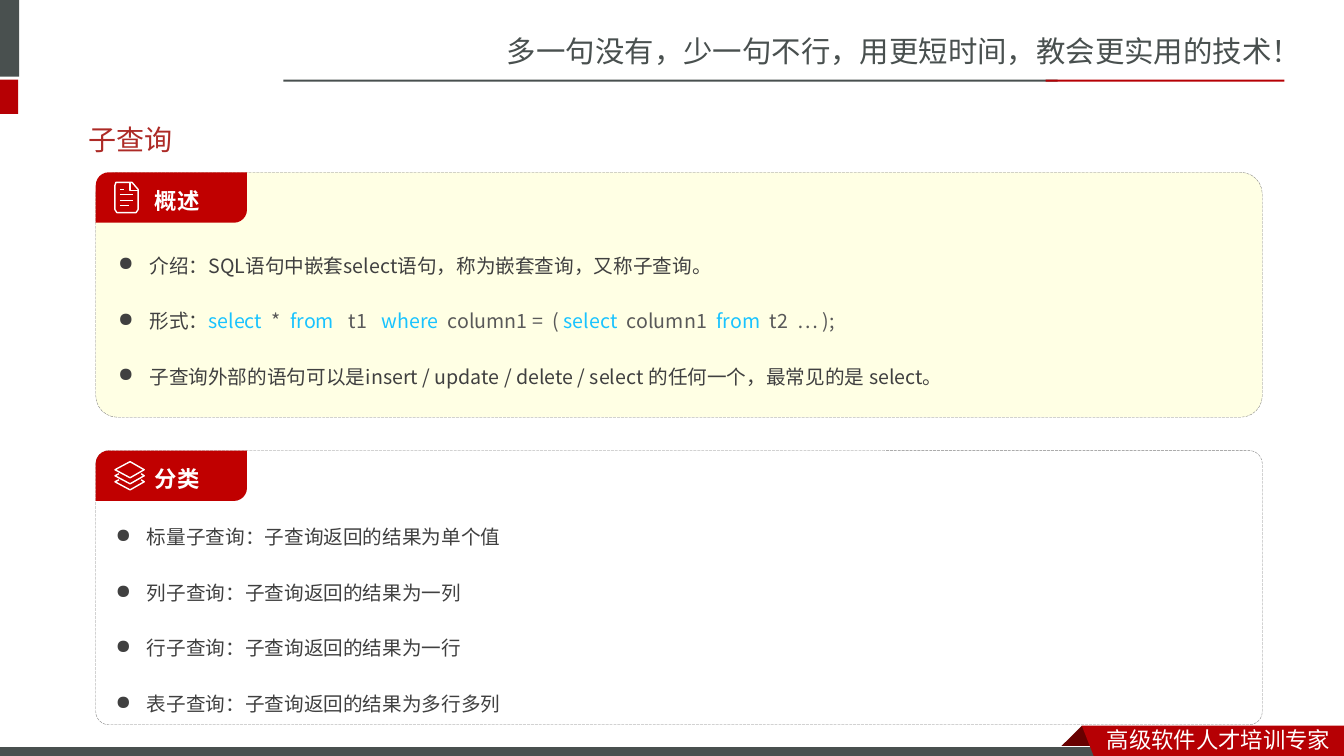
import pptx
import pptx.util
import pptx.dml.color
import pptx.enum.dml
import pptx.enum.shapes
import pptx.enum.text
import pptx.oxml.ns
import lxml.etree

Inches, Pt = pptx.util.Inches, pptx.util.Pt
KIND = pptx.enum.shapes.MSO_SHAPE
ANCHOR = pptx.enum.text.MSO_ANCHOR
HEX = {"slate": "49504F", "red": "B60004", "dark": "680000", "white": "FFFFFF",
       "title": "AD2A26", "cream": "FFFFE4", "edge": "808080", "tab": "C00000",
       "ink": "404040", "gray": "595959", "key": "19C3FF"}
SC, JP = "Noto Sans CJK SC", "Noto Sans CJK JP"

BARS = [((-0.06, 0, 0.25, 0.76), "slate"), ((-0.06, 0.79, 0.24, 0.34), "red"),
        ((2.81, 0.79, 7.68, 0.02), "slate"), ((10.37, 0.79, 2.37, 0.02), "red")]
BASE = (-0.01, 7.41, 11, 0.12)
FOLD = [(10.73, 7.2), (10.95, 7.42), (10.94, 7.43), (10.52, 7.43), (10.51, 7.42)]
RIBBON = [(10.73, 7.2), (13.33, 7.2), (13.33, 7.54), (10.86, 7.53)]
LABELS = [((4.93, 0.28, 8.41, 0.47), "多一句没有，少一句不行，用更短时间，教会更实用的技术！", 21, SC, "slate", ANCHOR.TOP),
          ((10.88, 7.15, 2.45, 0.37), "高级软件人才培训专家", 16, SC, "white", ANCHOR.TOP),
          ((0.78, 1.1, 11.7, 0.57), "子查询", 20, "Roboto", "title", ANCHOR.MIDDLE)]

# Each run: text, colour, and the width in spaces added to the blank after it.
QUERY = [("形式：", "ink", None), ("select", "key", 1), ("*", "gray", 1),
         ("from", "key", 2), ("t1", "gray", 2), ("where", "key", 1),
         ("column1 =", "gray", 1), ("(", "gray", 0), ("select", "key", 1),
         ("column1", "gray", 1), ("from", "key", 1), ("t2", "gray", 1),
         ("… );", "gray", None)]
INTRO = ["介绍：SQL语句中嵌套select语句，称为嵌套查询，又称子查询。", QUERY,
         "子查询外部的语句可以是insert / update / delete / select 的任何一个，最常见的是 select。"]
TYPES = ["标量子查询：子查询返回的结果为单个值", "列子查询：子查询返回的结果为一列",
         "行子查询：子查询返回的结果为一行", "表子查询：子查询返回的结果为多行多列"]

PAGE = [([(0.2, 0.1), (0.36, 0.1), (0.42, 0.17), (0.42, 0.37), (0.4, 0.4),
          (0.21, 0.4), (0.19, 0.37), (0.19, 0.13)], True),
        ([(0.34, 0.1), (0.34, 0.18), (0.42, 0.18)], False),
        ([(0.24, 0.17), (0.28, 0.17)], False), ([(0.24, 0.22), (0.37, 0.22)], False),
        ([(0.24, 0.28), (0.37, 0.28)], False), ([(0.24, 0.33), (0.33, 0.33)], False)]
STACK = [([(0.34, 0.11), (0.48, 0.19), (0.34, 0.27), (0.19, 0.19)], True)]
STACK += [([(0.23, y), (0.19, y + 0.02), (0.34, y + 0.1), (0.48, y + 0.02), (0.45, y)], False)
          for y in (0.23, 0.29)]
CARDS = [("概述", 1.71, 2.43, 0.088, "cream", 0.51, INTRO, PAGE),
         ("分类", 4.47, 2.72, 0.048, None, 0.47, TYPES, STACK)]
LEFT, WIDE = 0.95, 11.57


def tint(name):
    return pptx.dml.color.RGBColor.from_string(HEX[name])


def style(shape, fill=None, line=None, width=1):
    shape.shadow.inherit = False
    if fill:
        shape.fill.solid()
        shape.fill.fore_color.rgb = tint(fill)
    else:
        shape.fill.background()
    if line:
        shape.line.color.rgb = tint(line)
        shape.line.width = Pt(width)
    else:
        shape.line.fill.background()
    return shape


def block(kind, box, *look):
    return style(shapes.add_shape(kind, *map(Inches, box)), *look)


def trace(parts, *look):
    draw = None
    for points, close in parts:
        spots = [(Inches(x), Inches(y)) for x, y in points]
        if draw is None:
            draw = shapes.build_freeform(*spots[0])
        else:
            draw.move_to(*spots[0])
        draw.add_line_segments(spots[1:], close=close)
    return style(draw.convert_to_shape(), *look)


def write(para, text, size, face, color, bold=False, extra=0):
    run = para.add_run()
    run.text = text
    run.font.size, run.font.bold, run.font.name = Pt(size), bold, face
    run.font.color.rgb = tint(color)
    props = run.font._element
    east = lxml.etree.SubElement(props, pptx.oxml.ns.qn("a:ea"))
    east.set("typeface", SC if face == "Roboto" else face)
    if extra:
        props.set("spc", str(360 * extra))


def frame(shape, inset, anchor):
    text = shape.text_frame
    text.word_wrap = True
    text.vertical_anchor = anchor
    (text.margin_left, text.margin_top,
     text.margin_right, text.margin_bottom) = map(Inches, inset)
    text.paragraphs[0].alignment = pptx.enum.text.PP_ALIGN.LEFT
    return text


def bullet(para):
    props = para._p.get_or_add_pPr()
    props.set("marL", str(Inches(0.31)))
    props.set("indent", str(-Inches(0.31)))
    mark = lxml.etree.SubElement(props, pptx.oxml.ns.qn("a:buChar"))
    mark.set("char", "●")


def card(name, top, high, curve, fill, head, items, icon):
    panel = block(KIND.ROUNDED_RECTANGLE, (LEFT, top, WIDE, high), fill, "edge", 0.25)
    panel.adjustments[0] = curve
    panel.line.dash_style = pptx.enum.dml.MSO_LINE.LONG_DASH
    body = frame(panel, (0.16, head, 0.08, 0.04), ANCHOR.TOP)
    for i, item in enumerate(items):
        para = body.add_paragraph() if i else body.paragraphs[0]
        para.alignment = pptx.enum.text.PP_ALIGN.LEFT
        para.line_spacing = 2.0
        para.space_before = Pt(6 if i else 0)
        bullet(para)
        runs = [(item, "ink", None)] if isinstance(item, str) else item
        for text, color, extra in runs:
            write(para, text, 14, JP, color)
            if extra is not None:
                write(para, " ", 14, JP, color, extra=extra)
    tab = block(KIND.ROUND_2_DIAG_RECTANGLE, (LEFT, top, 1.5, 0.5), "tab")
    tab.adjustments[0], tab.adjustments[1] = 0.258, 0
    label = frame(tab, (0.55, 0, 0.04, 0.08), ANCHOR.MIDDLE).paragraphs[0]
    label.line_spacing = 1.5
    write(label, name, 16, JP, "white", True)
    trace([([(LEFT + x, top + y) for x, y in points], close) for points, close in icon],
          None, "white", 1)


deck = pptx.Presentation()
deck.slide_width, deck.slide_height = Inches(13.33), Inches(7.5)
shapes = deck.slides.add_slide(deck.slide_layouts[6]).shapes

for box, color in BARS:
    block(KIND.RECTANGLE, box, color)
trace([(FOLD, True)], "dark")
block(KIND.RECTANGLE, BASE, "slate", "white", 0.75)
trace([(RIBBON, True)], "red")
for box, text, size, face, color, anchor in LABELS:
    label = frame(shapes.add_textbox(*map(Inches, box)), (0.1, 0.05, 0.1, 0.05), anchor)
    write(label.paragraphs[0], text, size, face, color)
for entry in CARDS:
    card(*entry)

deck.save("out.pptx")
